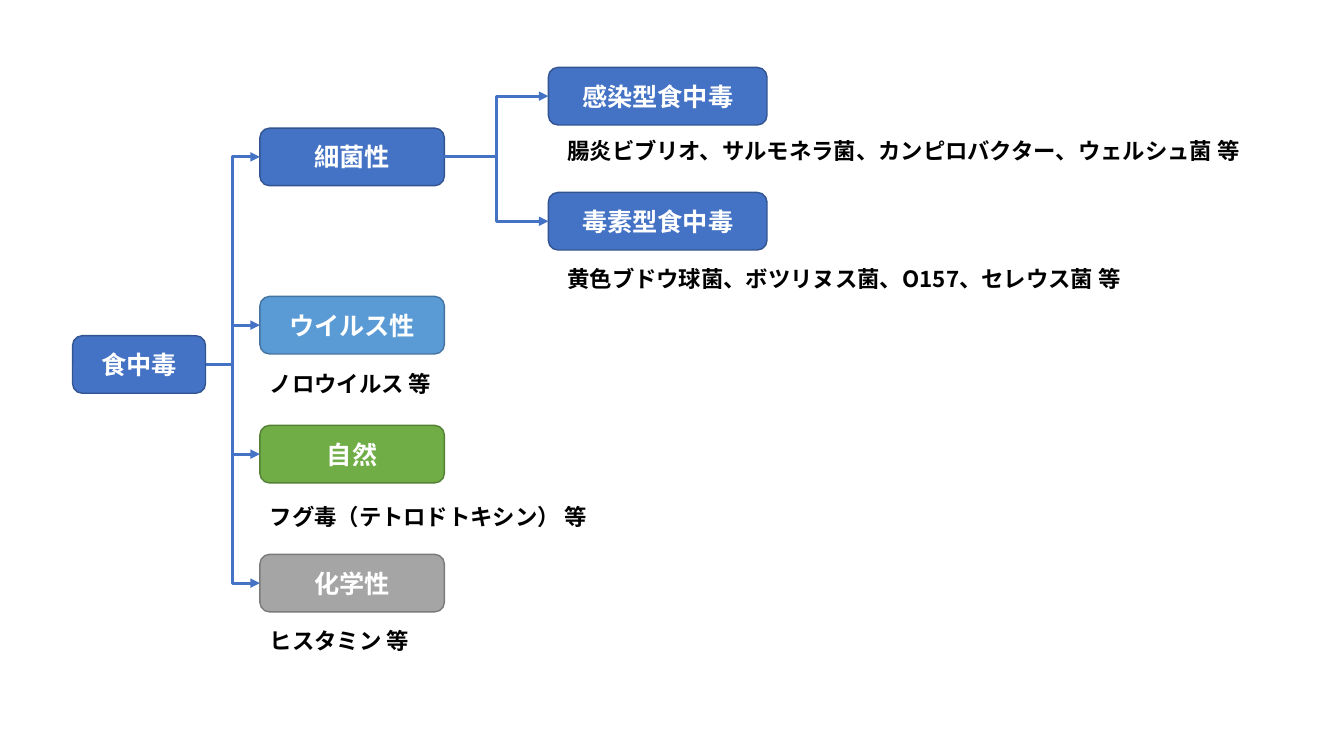
import pptx
import pptx.dml.color
import pptx.enum.shapes
import pptx.enum.text
import pptx.oxml.ns
import pptx.util
from lxml import etree

Cm, Pt = pptx.util.Cm, pptx.util.Pt
qn = pptx.oxml.ns.qn
LEFT_SITE, RIGHT_SITE = 1, 3


def color(value):
    return pptx.dml.color.RGBColor.from_string(value)


def write(tf, text, *, size, fill, font, align="LEFT", anchor="TOP"):
    tf.word_wrap = True
    tf.vertical_anchor = getattr(pptx.enum.text.MSO_ANCHOR, anchor)
    p = tf.paragraphs[0]
    p.alignment = getattr(pptx.enum.text.PP_ALIGN, align)
    r = p.add_run()
    r.text = text
    r.font.size = Pt(size)
    r.font.bold = True
    r.font.color.rgb = color(fill)
    r.font.name = font
    etree.SubElement(r.font._element, qn("a:ea"), typeface=font)


class Tree:
    FONT = "Noto Sans CJK JP"
    BLUE, BLUE_EDGE = "4472C4", "325491"
    BOX_H, NOTE_H = 1.45, 0.94

    def __init__(self, slide):
        self.s = slide

    def box(self, text, x, y, w, fill=BLUE, edge=BLUE_EDGE):
        kind = pptx.enum.shapes.MSO_SHAPE.FLOWCHART_ALTERNATE_PROCESS
        sp = self.s.shapes.add_shape(kind, Cm(x), Cm(y), Cm(w), Cm(self.BOX_H))
        sp.shadow.inherit = False
        sp.fill.solid()
        sp.fill.fore_color.rgb = color(fill)
        sp.line.color.rgb = color(edge)
        sp.line.width = Pt(1)
        write(sp.text_frame, text, size=18, fill="FFFFFF", font=self.FONT,
              align="CENTER", anchor="MIDDLE")
        return sp

    def note(self, text, x, y, w):
        sp = self.s.shapes.add_textbox(Cm(x), Cm(y), Cm(w), Cm(self.NOTE_H))
        write(sp.text_frame, text, size=16, fill="000000", font=self.FONT)

    def branch(self, parent, child):
        kind = pptx.enum.shapes.MSO_CONNECTOR.ELBOW
        cxn = self.s.shapes.add_connector(
            kind, parent.left + parent.width, parent.top + parent.height // 2,
            child.left, child.top + child.height // 2)
        cxn.begin_connect(parent, RIGHT_SITE)
        cxn.end_connect(child, LEFT_SITE)
        cxn.line.color.rgb = color(self.BLUE)
        cxn.line.width = Pt(2.25)
        etree.SubElement(cxn.line._get_or_add_ln(), qn("a:tailEnd"), type="triangle")
        etree.SubElement(cxn._element.spPr, qn("a:effectLst"))


def main():
    prs = pptx.Presentation()
    prs.slide_width, prs.slide_height = Cm(33.87), Cm(19.05)
    tree = Tree(prs.slides.add_slide(prs.slide_layouts[6]))

    # Root
    root = tree.box("食中毒", 1.83, 8.46, 3.35)

    # Causes: text, top, fill, edge
    causes = [
        ("細菌性", 3.23, Tree.BLUE, Tree.BLUE_EDGE),
        ("ウイルス性", 7.47, "5B9BD5", "43739E"),
        ("自然", 10.72, "70AD47", "538035"),
        ("化学性", 13.97, "A5A5A5", "7A7A7A"),
    ]
    cause_boxes = [tree.box(text, 6.55, y, 4.65, fill, edge)
                   for text, y, fill, edge in causes]
    for sp in cause_boxes:
        tree.branch(root, sp)

    # Bacterial types
    for text, y in [("感染型食中毒", 1.7), ("毒素型食中毒", 4.85)]:
        tree.branch(cause_boxes[0], tree.box(text, 13.82, y, 5.51))

    # Examples under the boxes
    examples = [
        ("腸炎ビブリオ、サルモネラ菌、カンピロバクター、ウェルシュ菌 等", 14.05, 3.33, 17.7),
        ("黄色ブドウ球菌、ボツリヌス菌、O157、セレウス菌 等", 14.05, 6.55, 15.47),
        ("ノロウイルス 等", 6.55, 9.19, 15.47),
        ("フグ毒（テトロドトキシン） 等", 6.55, 12.55, 15.47),
        ("ヒスタミン 等", 6.55, 15.67, 15.47),
    ]
    for example in examples:
        tree.note(*example)

    prs.save("out.pptx")


if __name__ == "__main__":
    main()
